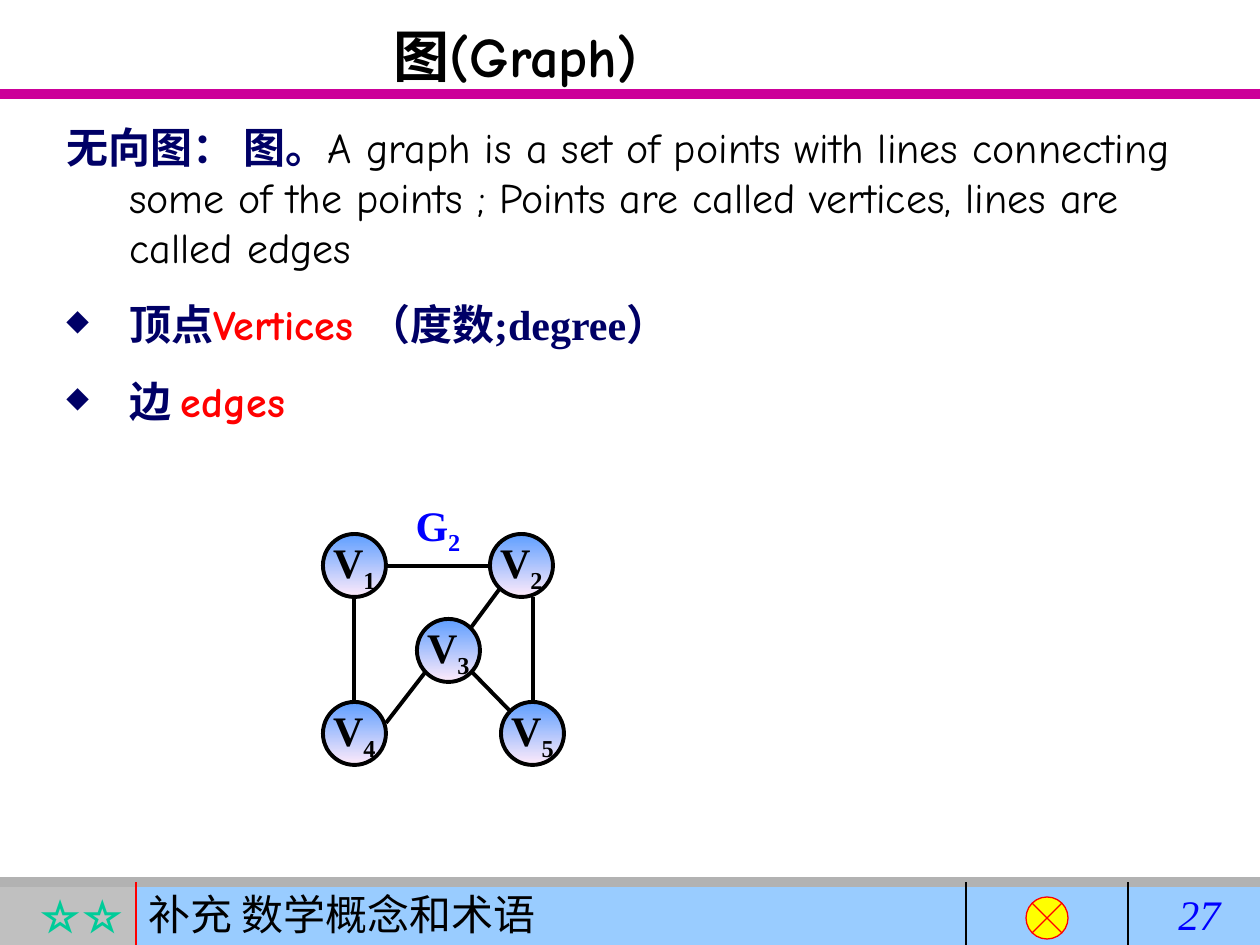
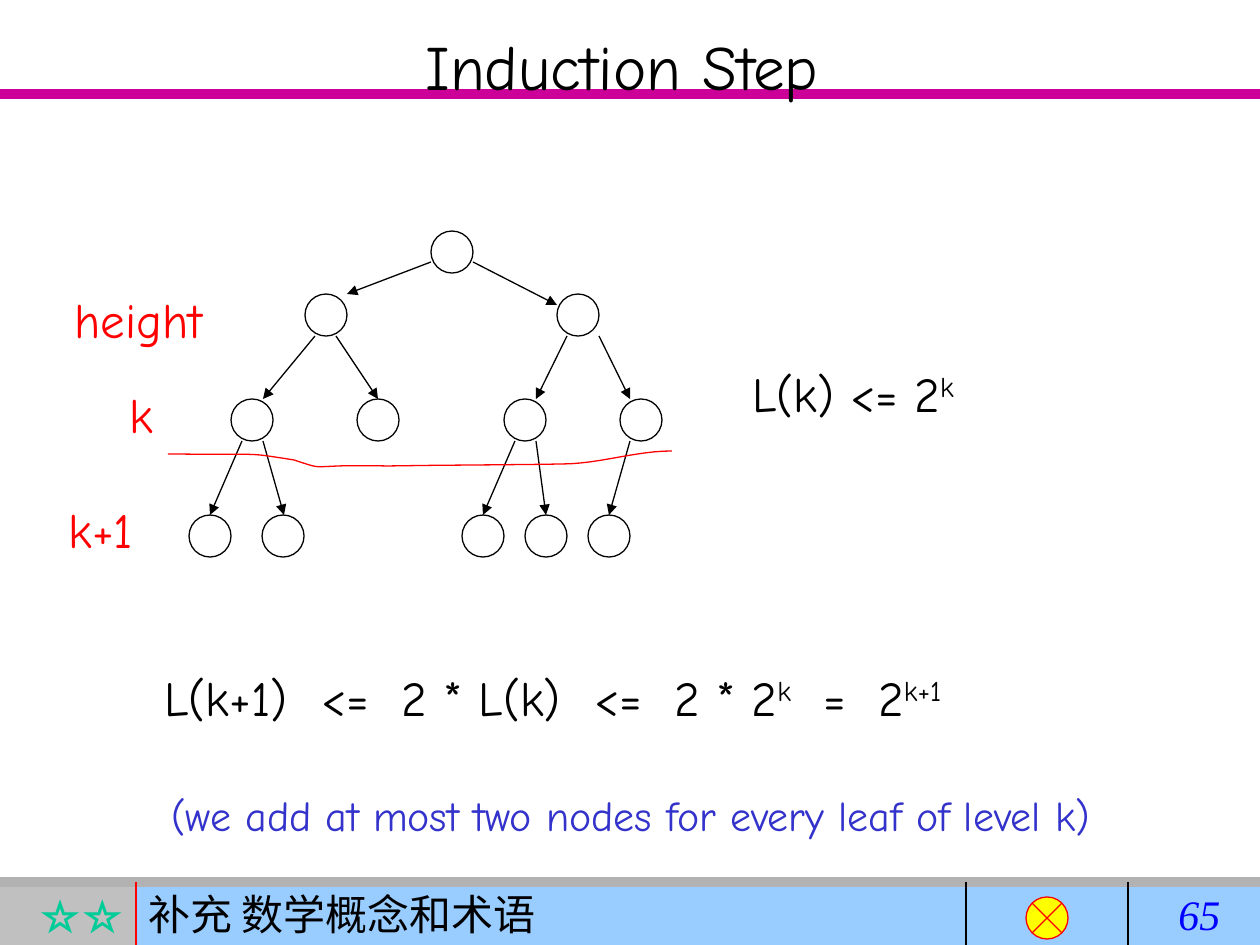
from itertools import pairwise

from lxml.etree import SubElement
from pptx import Presentation
from pptx.dml.color import RGBColor
from pptx.enum.shapes import MSO_CONNECTOR, MSO_SHAPE
from pptx.enum.text import MSO_ANCHOR, PP_ALIGN
from pptx.oxml.ns import qn
from pptx.util import Emu, Pt

PX = 914400 / 126


class Theme:
    black = RGBColor.from_string("000000")
    red = RGBColor.from_string("FF0000")
    blue = RGBColor.from_string("0000FF")
    navy = RGBColor.from_string("000066")
    note_blue = RGBColor.from_string("3333CC")
    magenta = RGBColor.from_string("CC0099")
    gray = RGBColor.from_string("C0C0C0")
    dark_gray = RGBColor.from_string("B2B2B2")
    sky = RGBColor.from_string("99CCFF")
    yellow = RGBColor.from_string("FFFF00")
    green = RGBColor.from_string("00CC99")
    node_top = RGBColor.from_string("5E9EFF")
    node_bottom = RGBColor.from_string("FFEBFA")
    comic = "Comic Neue"
    serif = "Times New Roman"
    chinese = "Noto Sans CJK SC"
    body, formula, title, big_title = Pt(24), Pt(28), Pt(32), Pt(36)
    thin, medium, thick = Pt(0.75), Pt(2.25), Pt(6)


def px(*lengths):
    return [Emu(round(length * PX)) for length in lengths]


def write_paragraph(shape, runs, base_format, bullet=None, hanging=0, tabs=(), **paragraph_format):
    """Add a paragraph; each run is (text, format changes)."""
    frame = shape.text_frame
    paragraph = frame.paragraphs[0] if not frame.text else frame.add_paragraph()
    properties = paragraph._p.get_or_add_pPr()
    if hanging:
        properties.set("marL", str(px(hanging)[0]))
        properties.set("indent", str(px(-hanging)[0]))
    if bullet:
        color = SubElement(properties, qn("a:buClr"))
        SubElement(color, qn("a:srgbClr"), val=str(base_format["color"]))
        SubElement(properties, qn("a:buSzPct"), val="70000")
        SubElement(properties, qn("a:buChar"), char=bullet)
    if tabs:
        tab_list = SubElement(properties, qn("a:tabLst"))
        for position in px(*tabs):
            SubElement(tab_list, qn("a:tab"), pos=str(position), algn="l")
    for name, value in paragraph_format.items():
        setattr(paragraph, name, value)
    for text, changes in runs:
        run = paragraph.add_run()
        run.text = text
        run_properties = run._r.get_or_add_rPr()
        for name, value in {**base_format, **changes}.items():
            if name == "color":
                run.font.color.rgb = value
            elif name == "baseline":
                run_properties.set("baseline", str(value * 1000))
            else:
                setattr(run.font, name, value)
        SubElement(run_properties, qn("a:ea"), typeface=Theme.chinese)


presentation = Presentation()
presentation.slide_width, presentation.slide_height = px(1260, 945)
slides = [presentation.slides.add_slide(presentation.slide_layouts[6]) for _ in range(2)]
graph_slide, induction_slide = slides

serif_bold = dict(name=Theme.serif, size=Theme.body, bold=True, color=Theme.navy)
comic_text = dict(name=Theme.comic, size=Theme.formula, color=Theme.black)
red_text = {**comic_text, "color": Theme.red}
subscript = dict(baseline=-25)
superscript = dict(baseline=30)

# Every line is (shape collection, ends, colour, width, arrowhead)
lines = []

# Footer bars and rules, shared by both slides
for slide, number in zip(slides, ("27", "65")):
    footer_parts = [
        (0, 136, Theme.gray, "☆☆", PP_ALIGN.RIGHT, {**serif_bold, "color": Theme.green}),
        (136, 1124, Theme.sky, "补充 数学概念和术语", PP_ALIGN.LEFT,
         dict(name=Theme.chinese, size=Theme.body, color=Theme.black)),
        (1166, 94, None, number, PP_ALIGN.LEFT,
         dict(name=Theme.serif, size=Theme.body, italic=True, color=Theme.blue)),
    ]
    for left, width, color, text, alignment, text_format in footer_parts:
        shape = slide.shapes.add_shape(MSO_SHAPE.RECTANGLE, *px(left, 882, width, 63))
        shape.shadow.inherit = False
        shape.line.fill.background()
        if color:
            shape.fill.solid()
            shape.fill.fore_color.rgb = color
        else:
            shape.fill.background()
        shape.text_frame.vertical_anchor = MSO_ANCHOR.TOP
        write_paragraph(shape, [(text, {})], text_format, alignment=alignment)
    junction = slide.shapes.add_shape(
        MSO_SHAPE.FLOWCHART_SUMMING_JUNCTION, *px(1026, 897, 42, 42))
    junction.shadow.inherit = False
    junction.fill.solid()
    junction.fill.fore_color.rgb = Theme.yellow
    junction.line.color.rgb = Theme.red
    junction.line.width = Theme.thin
    for y, color in ((94, Theme.magenta), (882, Theme.dark_gray)):
        lines.append((slide.shapes, (0, y, 1260, y), color, Theme.thick, False))
    for x, color in ((136, Theme.red), (966, Theme.black), (1128, Theme.black)):
        lines.append((slide.shapes, (x, 882, x, 945), color, Theme.thin, False))

# Edges of the graph
graph = graph_slide.shapes.add_group_shape().shapes
for ends in (
    (386, 566, 490, 566), (354, 597, 354, 702), (501, 587, 470, 629),
    (427, 670, 386, 723), (470, 670, 512, 713), (533, 597, 533, 702),
):
    lines.append((graph, ends, Theme.black, Theme.medium, False))

# Arrows of the tree, from the foot of one level to the top of the next
node_size = 42
levels = [
    (231, (431,)),
    (294, (305, 557)),
    (399, (231, 357, 504, 620)),
    (515, (189, 262, 462, 525, 588)),
]
branches = [
    ((315, 263), (336, 378), (567, 536), (599, 630)),
    ((242, 210), (263, 284), (515, 483), (536, 546), (630, 609)),
]
arrows = [(431, 262, 347, 294), (473, 262, 557, 305)]
for (upper, lower), pairs in zip(pairwise(levels[1:]), branches):
    arrows += [(start, upper[0] + node_size, end, lower[0]) for start, end in pairs]
for ends in arrows:
    lines.append((induction_slide.shapes, ends, Theme.black, Theme.thin, True))

# Draw all lines, below the texts and nodes
for shapes, ends, color, width, arrow in lines:
    connector = shapes.add_connector(MSO_CONNECTOR.STRAIGHT, *px(*ends))
    connector.line.color.rgb = color
    connector.line.width = width
    shape_properties = connector._element.spPr
    if arrow:
        SubElement(shape_properties.find(qn("a:ln")), qn("a:tailEnd"), type="triangle")
    SubElement(shape_properties, qn("a:effectLst"))

# Graph slide: title and definitions
title = graph_slide.shapes.add_textbox(*px(84, 15, 863, 81))
title.text_frame.word_wrap = True
write_paragraph(title, [("图(Graph)", {})],
                {**comic_text, "size": Theme.title, "bold": True}, alignment=PP_ALIGN.CENTER)

definitions = graph_slide.shapes.add_textbox(*px(54, 115, 1160, 318))
definitions.text_frame.word_wrap = True
red_comic = dict(name=Theme.comic, color=Theme.red)
write_paragraph(definitions, [
    ("无向图： 图。", {}),
    ("A graph is a set of points with lines connecting some of the points ; "
     "Points are called vertices, lines are called edges",
     dict(name=Theme.comic, color=Theme.black, bold=False)),
], serif_bold, hanging=63)
for runs in (
    [("顶点", {}), ("Vertices ", red_comic), ("（度数;degree）", {})],
    [("边 ", {}), ("edges", red_comic)],
):
    write_paragraph(definitions, runs, serif_bold, bullet="◆", hanging=63, space_before=Pt(15))

# Graph slide: vertices and name of the graph
vertices = {"2": (490, 534), "1": (323, 534), "3": (417, 619), "5": (501, 702), "4": (323, 702)}
for number, corner in vertices.items():
    vertex = graph.add_shape(MSO_SHAPE.OVAL, *px(*corner, 63, 63))
    vertex.shadow.inherit = False
    vertex.fill.gradient()
    vertex.fill.gradient_angle = 270
    for stop, color in zip(vertex.fill.gradient_stops, (Theme.node_top, Theme.node_bottom)):
        stop.color.rgb = color
    vertex.line.color.rgb = Theme.black
    vertex.line.width = Theme.medium
    vertex.text_frame.word_wrap = False
    vertex.text_frame.vertical_anchor = MSO_ANCHOR.MIDDLE
    write_paragraph(vertex, [("V", {}), (number, subscript)],
                    {**serif_bold, "color": Theme.black}, alignment=PP_ALIGN.CENTER)

graph_name = graph.add_textbox(*px(396, 493, 84, 71))
graph_name.text_frame.word_wrap = True
write_paragraph(graph_name, [("G", {}), ("2", subscript)],
                {**serif_bold, "color": Theme.blue}, alignment=PP_ALIGN.CENTER)

# Induction slide: title, level names and formulas, in boxes with room to spare
for (left, top, width, height), runs, text_format, tabs in (
    ((740, 357, 280, 72), [("L(k) <= 2", {}), ("k", superscript)], comic_text, ()),
    ((152, 661, 880, 72),
     [("L(k+1)\t<=\t2 * L(k)\t<=\t2 * 2", {}), ("k", superscript),
      ("\t=\t2", {}), ("k+1", superscript)],
     comic_text, (157, 237, 430, 510, 659, 714)),
    ((413, 21, 480, 88), [("Induction Step", {})], {**comic_text, "size": Theme.big_title}, ()),
    ((62, 283, 200, 72), [("height", {})], red_text, ()),
    ((117, 378, 90, 72), [("k", {})], red_text, ()),
    ((56, 493, 130, 72), [("k+1", {})], red_text, ()),
    ((159, 783, 1000, 63), [("(we add at most two nodes for every leaf of level k)", {})],
     {**comic_text, "size": Theme.body, "color": Theme.note_blue}, ()),
):
    text_box = induction_slide.shapes.add_textbox(*px(left, top, width, height))
    text_box.text_frame.word_wrap = True
    write_paragraph(text_box, runs, text_format, tabs=tabs, alignment=PP_ALIGN.LEFT)

# Induction slide: tree nodes, level by level
for top, lefts in levels:
    for left in lefts:
        node = induction_slide.shapes.add_shape(
            MSO_SHAPE.OVAL, *px(left, top, node_size, node_size))
        node.shadow.inherit = False
        node.fill.background()
        node.line.color.rgb = Theme.black
        node.line.width = Theme.thin

# Induction slide: curve that divides the levels k and k+1
start = (168, 454)
builder = induction_slide.shapes.build_freeform(*px(*start))
curve_points = []
for bend, pull, end in (
    ((267, 455), (243, 452), (294, 460)),
    ((331, 472), (301, 464), (388, 466)),
    ((446, 465), (504, 465), (562, 464)),
    ((599, 464), (635, 451), (672, 451)),
):
    for step in range(1, 13):
        t = step / 12
        weights = ((1 - t) ** 3, 3 * t * (1 - t) ** 2, 3 * t * t * (1 - t), t ** 3)
        curve_points.append(px(*(
            sum(weight * point[axis] for weight, point in zip(weights, (start, bend, pull, end)))
            for axis in (0, 1))))
    start = end
builder.add_line_segments(curve_points, close=False)
divider = builder.convert_to_shape()
divider.shadow.inherit = False
divider.fill.background()
divider.line.color.rgb = Theme.red
divider.line.width = Theme.thin

presentation.save("out.pptx")
